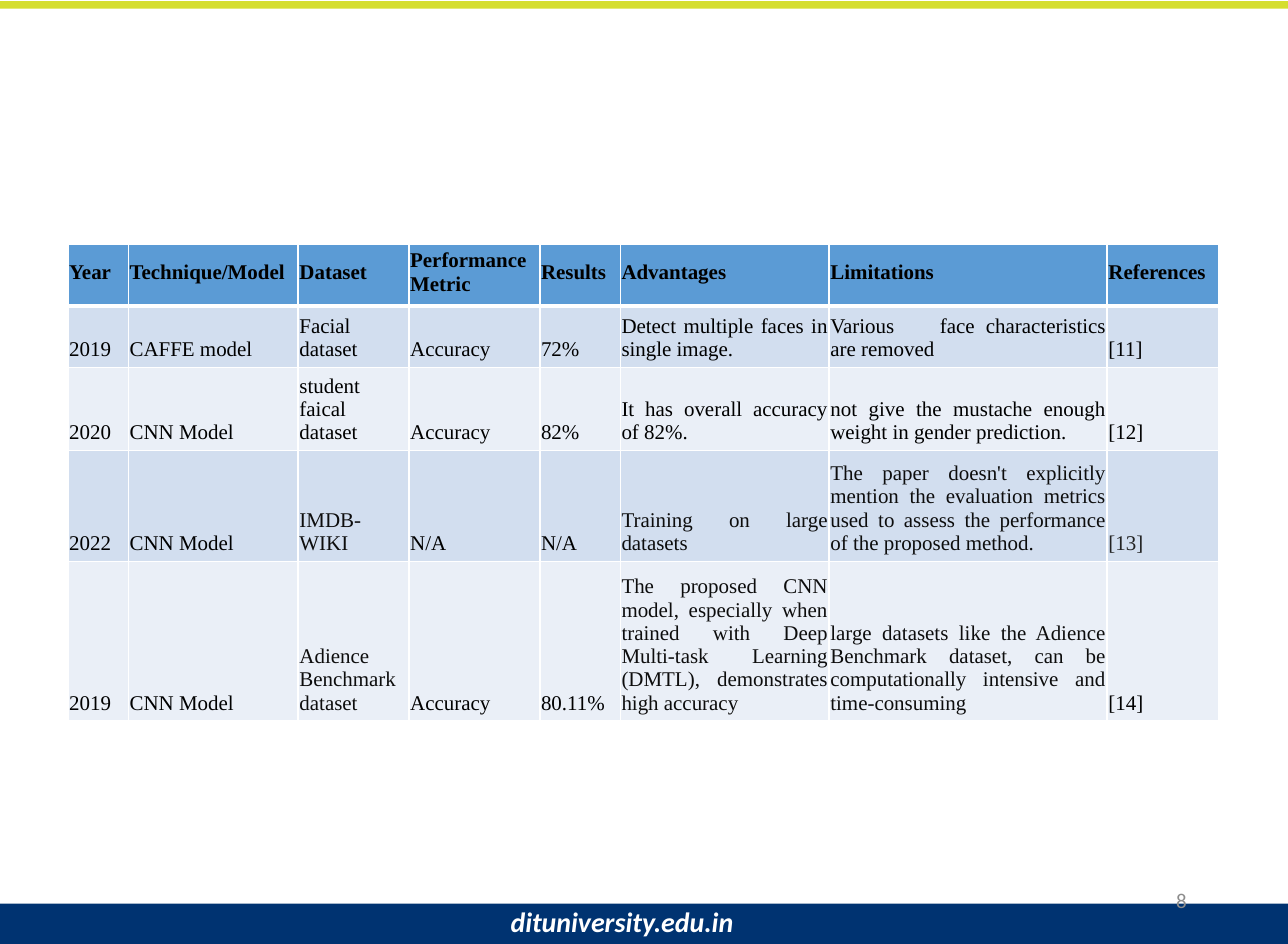
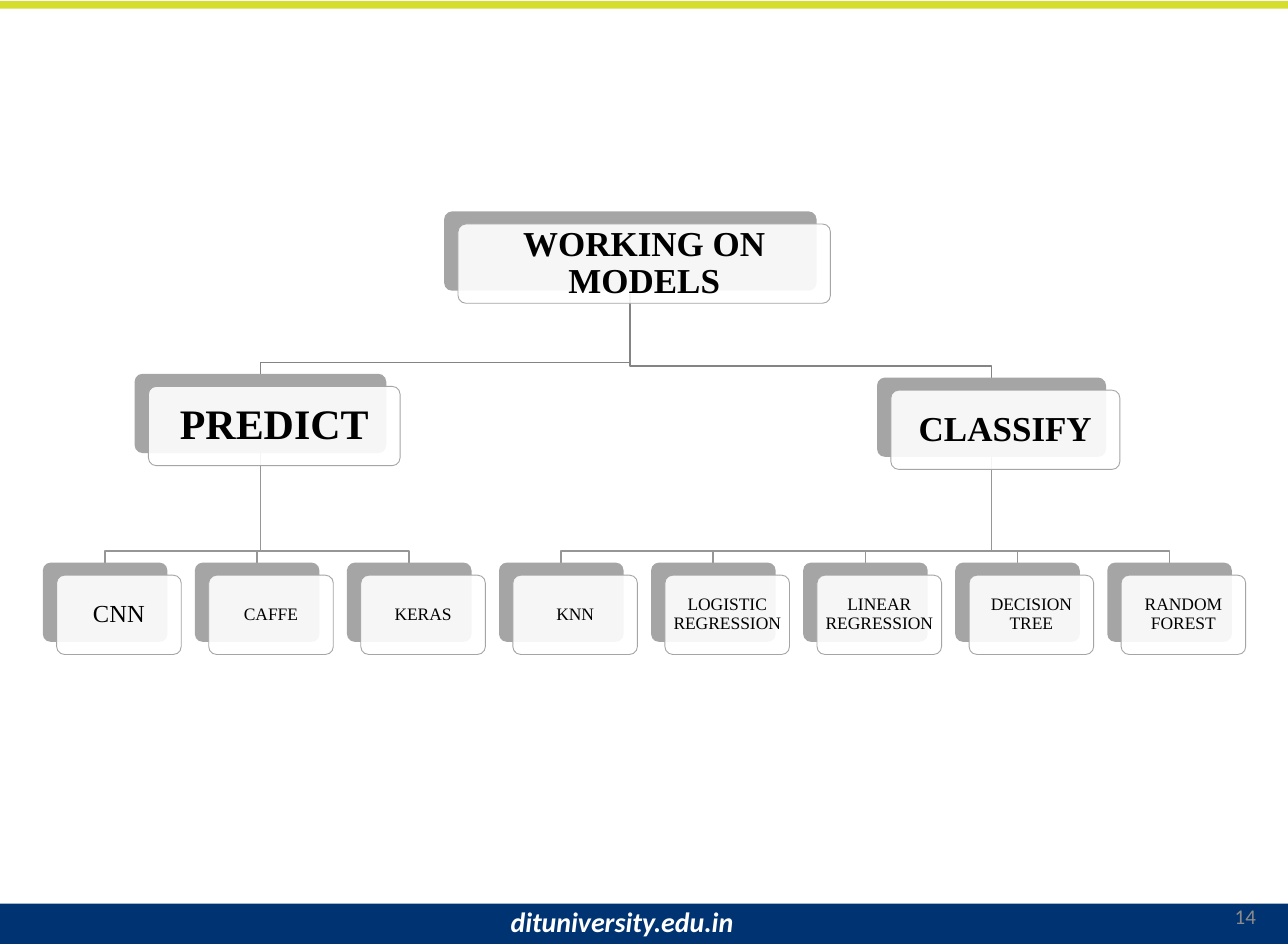
"""Build the literature table slide and the model tree slide."""
from dataclasses import dataclass
from itertools import product

from lxml.etree import SubElement
from pptx import Presentation
from pptx.dml.color import RGBColor
from pptx.enum.shapes import MSO_SHAPE
from pptx.enum.text import MSO_ANCHOR, PP_ALIGN
from pptx.oxml import parse_xml
from pptx.oxml.ns import nsdecls, qn
from pptx.shapes.autoshape import Shape
from pptx.slide import Slide
from pptx.table import _Cell
from pptx.text.text import _Paragraph
from pptx.util import Inches, Pt

COLOURS = {
    "navy": "003371", "lime": "D5DE2F", "white": "FFFFFF", "black": "000000",
    "number": "8C8C8C", "header": "5B9BD5", "odd": "D2DEEF", "even": "EAEFF7",
    "soft": "0D0D0D", "charcoal": "222222", "card": "A5A5A5",
    "branch": "848484", "twig": "969696",
}
SLIDE_WIDTH, SLIDE_HEIGHT = 26 / 2.54, 7.5
SANS, SERIF = "Calibri", "Times New Roman"

COLUMN_WIDTHS = (0.48, 1.35, 0.88, 1.04, 0.64, 1.66, 2.21, 0.89)
ROW_HEIGHTS = (0.49, 0.49, 0.66, 0.88, 1.27)
TAB_STOP = 0.87
STUDIES = (
    ("Year", "Technique/Model", "Dataset", "Performance Metric", "Results",
     "Advantages", "Limitations", "References"),
    ("2019", "CAFFE model", "Facial dataset", "Accuracy", "72%",
     "Detect multiple faces in single image.",
     "Various\tface characteristics are removed", "[11]"),
    ("2020", "CNN Model", "student faical dataset", "Accuracy", "82%",
     "It has overall accuracy of 82%.",
     "not give the mustache enough weight in gender prediction.", "[12]"),
    ("2022", "CNN Model", "IMDB-WIKI", "N/A", "N/A",
     "Training on large datasets",
     "The paper doesn't explicitly mention the evaluation metrics used to "
     "assess the performance of the proposed method.", "[13]"),
    ("2019", "CNN Model", "Adience Benchmark dataset", "Accuracy", "80.11%",
     "The proposed CNN model, especially when trained with Deep Multi-task "
     "Learning (DMTL), demonstrates high accuracy",
     "large datasets like the Adience Benchmark dataset, can be "
     "computationally intensive and time-consuming", "[14]"),
)
TEXT_COLOURS = dict.fromkeys(product((3, 4), (2, 5, 6)), "soft") | {(3, 7): "charcoal"}

CARD_HEIGHT = 0.63
CARD_SHIFT = (0.11, 0.1)
BEND_RISE = 0.09
FIRST_LEAF, LAST_LEAF, LEAF_TOP, LEAF_WIDTH = 0.34, 8.8, 4.47, 0.99


@dataclass(frozen=True)
class Node:
    """One box of the tree, placed by its back card."""

    label: str
    left: float
    top: float
    width: float
    size: int = 10
    bold: bool = False
    inset: float = 0.03

    @property
    def centre(self) -> float:
        """Return the horizontal middle of the back card."""
        return self.left + self.width / 2


def colour(name: str) -> RGBColor:
    """Return a palette colour."""
    return RGBColor.from_string(COLOURS[name])


def style(paragraph: _Paragraph, font: str, size: float, ink: str,
          alignment: PP_ALIGN, bold: bool = False, italic: bool = False) -> None:
    """Set alignment and font of a paragraph."""
    paragraph.alignment = alignment
    paragraph.font.name = font
    paragraph.font.size = Pt(size)
    paragraph.font.bold = bold
    paragraph.font.italic = italic
    paragraph.font.color.rgb = colour(ink)


def add_block(slide: Slide, kind: MSO_SHAPE, left: float, top: float,
              width: float, height: float, fill: str) -> Shape:
    """Add a flat filled shape without outline."""
    shape = slide.shapes.add_shape(
        kind, Inches(left), Inches(top), Inches(width), Inches(height))
    shape.shadow.inherit = False
    shape.fill.solid()
    shape.fill.fore_color.rgb = colour(fill)
    shape.line.fill.background()
    return shape


def add_label(slide: Slide, text: str, left: float, top: float,
              width: float, height: float) -> Shape:
    """Add a wrapping text box."""
    label = slide.shapes.add_textbox(
        Inches(left), Inches(top), Inches(width), Inches(height))
    label.text_frame.word_wrap = True
    label.text_frame.text = text
    return label


def add_frame(slide: Slide, number: int, left: float, top: float, height: float) -> None:
    """Add the bands, the footer address and the slide number."""
    add_block(slide, MSO_SHAPE.RECTANGLE, 0, 7.18, SLIDE_WIDTH, 0.32, "navy")
    add_block(slide, MSO_SHAPE.RECTANGLE, 0, 0.01, SLIDE_WIDTH, 0.06, "lime")
    address = add_label(slide, "dituniversity.edu.in", 3.96, 7.14, 2.67, 0.37)
    style(address.text_frame.paragraphs[0], SANS, 16, "white", PP_ALIGN.LEFT, True, True)
    page = add_label(slide, str(number), left, top, 2.3, height)
    page.text_frame.vertical_anchor = MSO_ANCHOR.MIDDLE
    style(page.text_frame.paragraphs[0], SANS, 12, "number", PP_ALIGN.RIGHT)


def set_borders(cell: _Cell, top: float, bottom: float) -> None:
    """Draw white cell borders with the given top and bottom widths in points."""
    widths = {"lnL": 1, "lnR": 1, "lnT": top, "lnB": bottom}
    properties = cell._tc.get_or_add_tcPr()
    for position, (side, width) in enumerate(widths.items()):
        properties.insert(position, parse_xml(
            f'<a:{side} {nsdecls("a")} w="{Pt(width)}"><a:solidFill>'
            f'<a:srgbClr val="{COLOURS["white"]}"/></a:solidFill></a:{side}>'))


def add_tab_stop(paragraph: _Paragraph) -> None:
    """Add the left tab stop that sets the gap in a paragraph."""
    stops = SubElement(paragraph._p.get_or_add_pPr(), qn("a:tabLst"))
    SubElement(stops, qn("a:tab"), pos=str(Inches(TAB_STOP)), algn="l")


def fill_cell(cell: _Cell, text: str, row: int, column: int) -> None:
    """Write and style one table cell."""
    header = row == 0
    cell.text = text
    cell.margin_left = cell.margin_right = cell.margin_top = Inches(0.01)
    cell.margin_bottom = Inches(0.05)
    cell.vertical_anchor = MSO_ANCHOR.MIDDLE if header else MSO_ANCHOR.BOTTOM
    cell.fill.solid()
    cell.fill.fore_color.rgb = colour("header" if header else ("even", "odd")[row % 2])
    set_borders(cell, 3 if row == 1 else 1, 3 if header else 1)
    paragraph = cell.text_frame.paragraphs[0]
    if "\t" in text:
        add_tab_stop(paragraph)
    style(paragraph, SERIF, 12, TEXT_COLOURS.get((row, column), "black"),
          PP_ALIGN.JUSTIFY, header)


def add_studies(slide: Slide) -> None:
    """Add the literature table."""
    table = slide.shapes.add_table(
        len(STUDIES), len(COLUMN_WIDTHS), Inches(0.54), Inches(1.94),
        Inches(sum(COLUMN_WIDTHS)), Inches(sum(ROW_HEIGHTS))).table
    table.first_row = table.horz_banding = False
    for column, width in zip(table.columns, COLUMN_WIDTHS):
        column.width = Inches(width)
    for row, height in zip(table.rows, ROW_HEIGHTS):
        row.height = Inches(height)
    for row, study in enumerate(STUDIES):
        for column, text in enumerate(study):
            fill_cell(table.cell(row, column), text, row, column)


def add_link(slide: Slide, parent: Node, child: Node, line: str) -> None:
    """Draw the stepped line from a parent down to a child."""
    bend = Inches(child.top - BEND_RISE)
    start, end = Inches(parent.centre), Inches(child.centre)
    builder = slide.shapes.build_freeform(start, Inches(parent.top + CARD_HEIGHT))
    builder.add_line_segments(
        [(start, bend), (end, bend), (end, Inches(child.top))], close=False)
    link = builder.convert_to_shape()
    link.shadow.inherit = False
    link.fill.background()
    link.line.color.rgb = colour(line)
    link.line.width = Pt(1)


def add_node(slide: Slide, node: Node) -> None:
    """Draw the grey back card and the translucent labelled front card."""
    back, front = (
        add_block(slide, MSO_SHAPE.ROUNDED_RECTANGLE, node.left + right,
                  node.top + down, node.width, CARD_HEIGHT, fill)
        for right, down, fill in ((0, 0, "card"), (*CARD_SHIFT, "white")))
    back.adjustments[0] = front.adjustments[0] = 0.1
    tint = front.element.spPr.find(qn("a:solidFill"))[0]
    SubElement(tint, qn("a:alpha"), val="90000")
    front.line.color.rgb = colour("card")
    front.line.width = Pt(0.5)
    frame = front.text_frame
    frame.word_wrap = True
    frame.vertical_anchor = MSO_ANCHOR.MIDDLE
    frame.margin_left = frame.margin_right = Inches(node.inset)
    frame.margin_top = frame.margin_bottom = Inches(node.inset)
    frame.text = node.label
    paragraph = frame.paragraphs[0]
    paragraph.line_spacing = 0.9
    style(paragraph, SERIF, node.size, "black", PP_ALIGN.CENTER, node.bold)


def add_tree(slide: Slide) -> None:
    """Add the tree of models."""
    root = Node("WORKING ON MODELS", 3.53, 1.68, 2.96, 20, True, 0.08)
    predict = Node("PREDICT", 1.07, 2.97, 2, 24, True, 0.1)
    classify = Node("CLASSIFY", 6.97, 3, 1.82, 20, True, 0.08)
    labels = ("CNN", "CAFFE", "KERAS", "KNN", "LOGISTIC REGRESSION",
              "LINEAR REGRESSION", "DECISION TREE", "RANDOM FOREST")
    pitch = (LAST_LEAF - FIRST_LEAF) / (len(labels) - 1)
    leaves = [
        Node(label, FIRST_LEAF + index * pitch, LEAF_TOP, LEAF_WIDTH,
             14 if label == "CNN" else 10)
        for index, label in enumerate(labels)]
    for parent, children, line in (
            (classify, leaves[3:], "twig"), (predict, leaves[:3], "twig"),
            (root, (predict, classify), "branch")):
        for child in children:
            add_link(slide, parent, child, line)
    for node in (root, predict, classify, *leaves):
        add_node(slide, node)


def main() -> None:
    """Build and save the presentation."""
    presentation = Presentation()
    presentation.slide_width = Inches(SLIDE_WIDTH)
    presentation.slide_height = Inches(SLIDE_HEIGHT)
    blank = presentation.slide_layouts[6]
    studies_slide = presentation.slides.add_slide(blank)
    add_frame(studies_slide, 8, 7.23, 6.95, 0.4)
    add_studies(studies_slide)
    tree_slide = presentation.slides.add_slide(blank)
    add_frame(tree_slide, 14, 7.78, 7.18, 0.2)
    add_tree(tree_slide)
    presentation.save("out.pptx")


if __name__ == "__main__":
    main()
